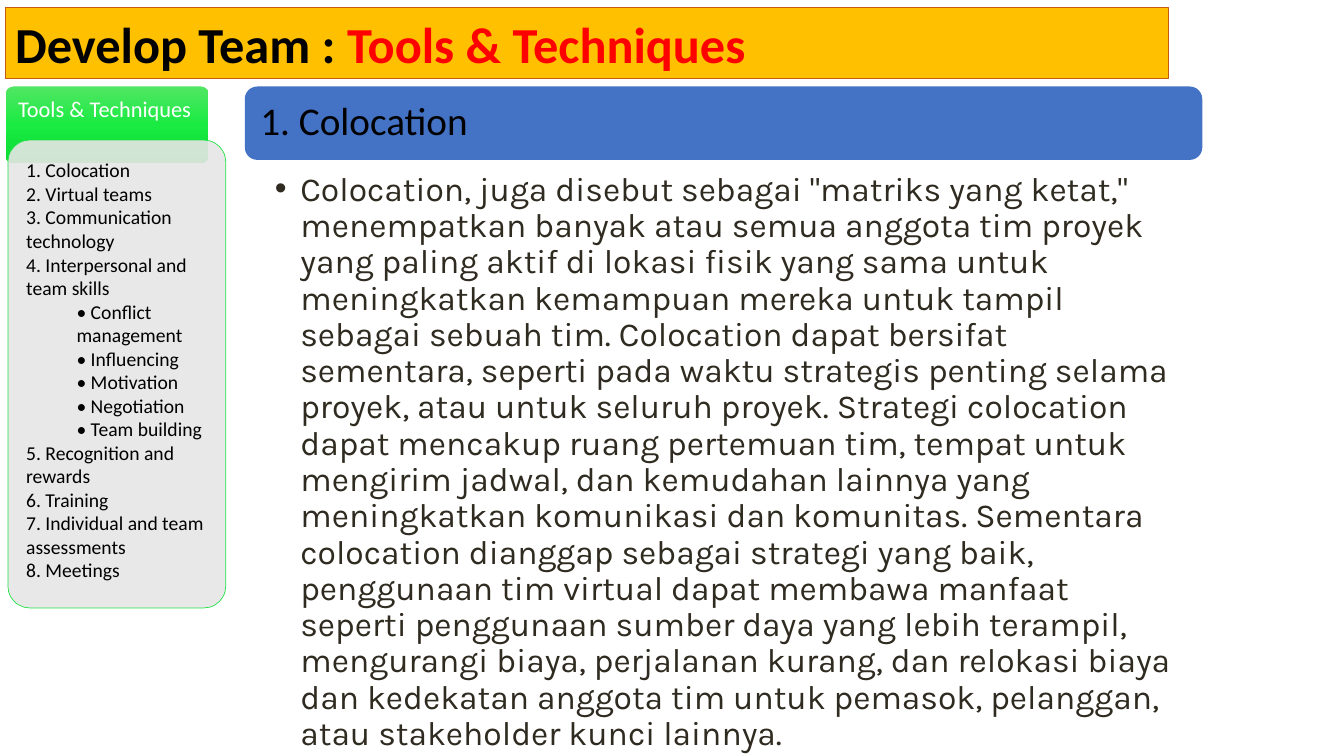
from copy import deepcopy
from pptx import Presentation
from pptx.dml.color import RGBColor
from pptx.enum.shapes import MSO_SHAPE
from pptx.enum.text import MSO_ANCHOR, MSO_AUTO_SIZE, PP_ALIGN
from pptx.oxml.ns import qn
from pptx.util import Cm, Pt
from lxml.etree import SubElement

TOOLS = [
    (0, "1. Colocation"),
    (0, "2. Virtual teams"),
    (0, "3. Communication technology"),
    (0, "4. Interpersonal and team skills"),
    (1, "• Conflict management"),
    (1, "• Influencing"),
    (1, "• Motivation"),
    (1, "• Negotiation"),
    (1, "• Team building"),
    (0, "5. Recognition and rewards"),
    (0, "6. Training"),
    (0, "7. Individual and team"),
    (0, "assessments"),
    (0, "8. Meetings"),
]

BODY = (
    'Colocation, juga disebut sebagai "matriks yang ketat," menempatkan banyak '
    "atau semua anggota tim proyek yang paling aktif di lokasi fisik yang sama "
    "untuk meningkatkan kemampuan mereka untuk tampil sebagai sebuah tim. "
    "Colocation dapat bersifat sementara, seperti pada waktu strategis penting "
    "selama proyek, atau untuk seluruh proyek. Strategi colocation dapat mencakup "
    "ruang pertemuan tim, tempat untuk mengirim jadwal, dan kemudahan lainnya yang "
    "meningkatkan komunikasi dan komunitas. Sementara colocation dianggap sebagai "
    "strategi yang baik, penggunaan tim virtual dapat membawa manfaat seperti "
    "penggunaan sumber daya yang lebih terampil, mengurangi biaya, perjalanan "
    "kurang, dan relokasi biaya dan kedekatan anggota tim untuk pemasok, "
    "pelanggan, atau stakeholder kunci lainnya."
)


def color(code):
    return RGBColor.from_string(code)


def place(shape, left, top, width, height):
    shape.left, shape.top = Cm(left), Cm(top)
    shape.width, shape.height = Cm(width), Cm(height)


def paint(shape, fill, line=None, width=0.5):
    shape.fill.solid()
    shape.fill.fore_color.rgb = color(fill)
    edge(shape, line, width)


def edge(shape, line, width=0.5):
    if line:
        shape.line.color.rgb = color(line)
        shape.line.width = Pt(width)
    else:
        shape.line.fill.background()


def blend(shape, codes):
    shape.fill.gradient()
    shape.fill.gradient_angle = 270
    stops = shape._element.find(".//" + qn("a:gsLst"))
    stops.insert(1, deepcopy(stops[0]))
    for i, (stop, code) in enumerate(zip(shape.fill.gradient_stops, codes)):
        stop.position = i / 2
        stop.color.rgb = color(code)


def fade(shape, share):
    tint = shape._element.spPr.find(qn("a:solidFill"))[0]
    SubElement(tint, qn("a:alpha"), val=str(share * 1000))


def frame(shape, left, top, right, bottom, anchor=MSO_ANCHOR.TOP):
    box = shape.text_frame
    box.word_wrap = True
    box.auto_size = MSO_AUTO_SIZE.NONE
    box.vertical_anchor = anchor
    box.margin_left, box.margin_top = Cm(left), Cm(top)
    box.margin_right, box.margin_bottom = Cm(right), Cm(bottom)
    return box


def style(para, size, code, face="Calibri", bold=False, space=1.0):
    para.alignment = PP_ALIGN.LEFT
    para.line_spacing = space
    para.space_before = para.space_after = Pt(0)
    font = para.font
    font.name, font.size, font.bold = face, Pt(size), bold
    font.color.rgb = color(code)


def indent(para, left, hang=0, mark=None):
    props = para._p.get_or_add_pPr()
    props.set("marL", str(Cm(left)))
    props.set("indent", str(-Cm(hang)))
    if mark:
        SubElement(props, qn("a:buFont"), typeface="Arial")
        SubElement(props, qn("a:buChar"), char=mark)


def panel(slide, left, top, width, height, curve):
    shape = slide.shapes.add_shape(
        MSO_SHAPE.ROUNDED_RECTANGLE, Cm(left), Cm(top), Cm(width), Cm(height))
    shape.adjustments[0] = curve
    shape.shadow.inherit = False
    return shape


def banner(slide):
    title = slide.shapes.title
    place(title, 0.15, 0.2, 29.29, 1.78)
    paint(title, "FFC000", "C55A11", 0.75)
    para = frame(title, 0.23, 0.13, 0.23, 0.13).paragraphs[0]
    style(para, 36, "000000", bold=True)
    para.add_run().text = "Develop Team : "
    tail = para.add_run()
    tail.text = "Tools & Techniques"
    tail.font.color.rgb = color("FF0000")


def topic(slide):
    head = panel(slide, 6.17, 2.18, 24.13, 1.85, 0.17)
    paint(head, "4472C4")
    para = frame(head, 0.3, 0.3, 0.3, 0.3, MSO_ANCHOR.MIDDLE).paragraphs[0]
    para.text = "1. Colocation"
    style(para, 28, "000000", space=0.9)


def detail(slide):
    body = slide.placeholders[1]
    place(body, 6.17, 4.24, 24.13, 13.54)
    para = frame(body, 0.76, 0.1, 0.61, 0.1).paragraphs[0]
    para.text = BODY
    indent(para, 0.64, 0.64, "•")
    style(para, 24, "2F2B20", "Karla", space=0.9)


def sidebar(slide):
    head = panel(slide, 0.15, 2.18, 5.11, 1.93, 0.1)
    blend(head, ["51E663", "19EB42", "0CDB34"])
    edge(head, None)
    para = frame(head, 0.25, 0.25, 0.25, 0.76).paragraphs[0]
    para.text = "Tools & Techniques"
    style(para, 16, "FFFFFF", space=0.9)

    card = panel(slide, 0.2, 3.53, 5.49, 11.79, 0.1)
    paint(card, "E7E6E6", "23E148")
    fade(card, 90)
    box = frame(card, 0.3, 0.3, 0.3, 0.3)
    box.text = "\n".join(text for _, text in TOOLS)
    for para, (level, _) in zip(box.paragraphs, TOOLS):
        para.level = level
        indent(para, 1.27 * level)
        style(para, 14, "000000")


def main():
    deck = Presentation()
    deck.slide_width, deck.slide_height = Cm(33.87), Cm(19.05)
    slide = deck.slides.add_slide(deck.slide_layouts[1])
    banner(slide)
    topic(slide)
    detail(slide)
    sidebar(slide)
    deck.save("out.pptx")


if __name__ == "__main__":
    main()
